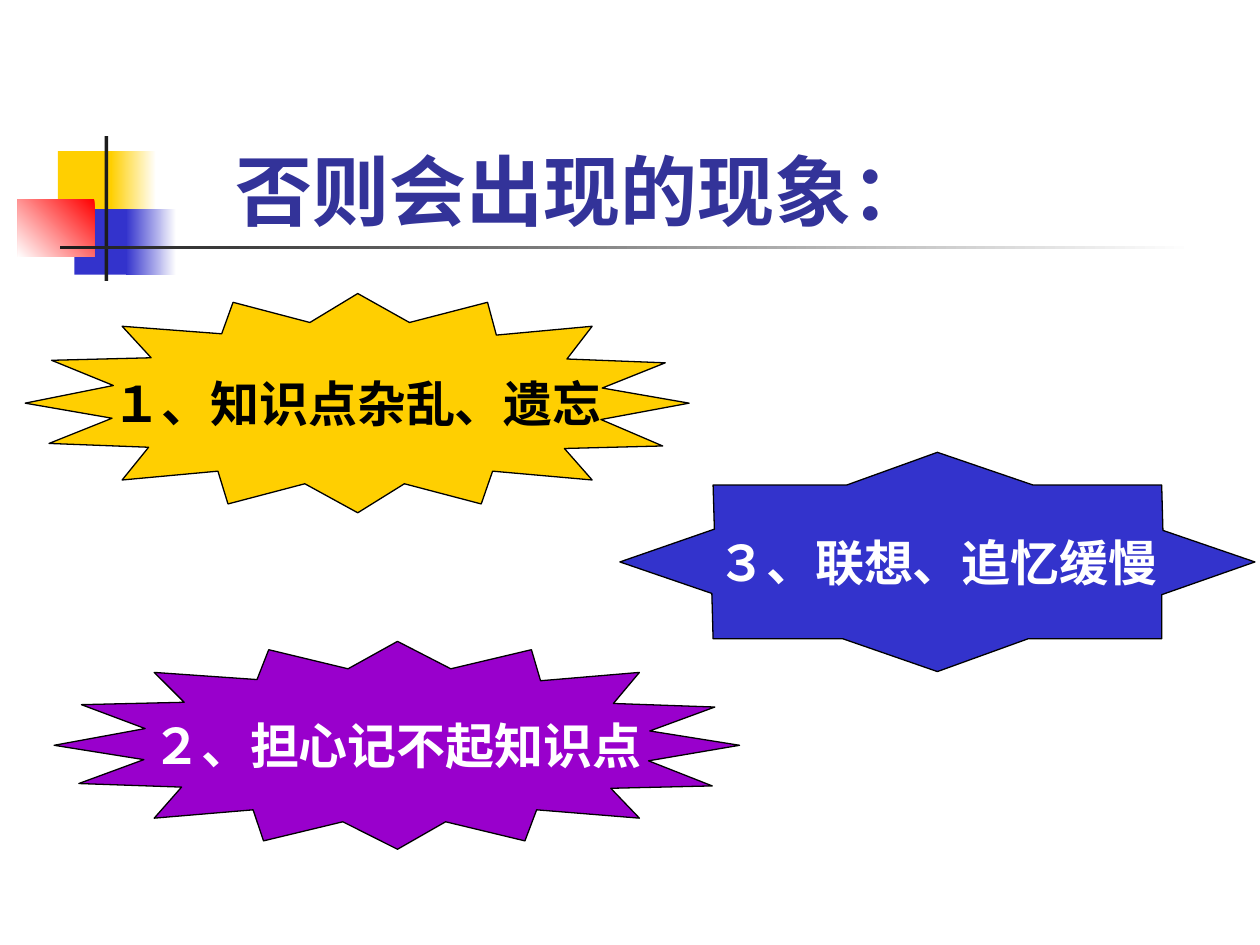
from pptx import Presentation
from pptx.dml.color import RGBColor
from pptx.enum.shapes import MSO_SHAPE
from pptx.enum.text import MSO_ANCHOR, MSO_AUTO_SIZE, PP_ALIGN
from pptx.util import Inches, Pt

COLORS = {
    "gold": "FFCF01", "blue": "3333CC", "red": "FF0000", "purple": "9900CC",
    "title": "333399", "dark": "1C1C1C", "black": "000000", "white": "FFFFFF",
}

BURST = [
    (0, 87), (69, 99), (19, 119), (98, 122), (77, 148), (153, 141), (161, 167), (222, 151),
    (264, 174), (301, 151), (362, 167), (371, 141), (450, 148), (428, 123), (506, 121), (457, 100),
    (527, 87), (458, 75), (508, 55), (430, 52), (450, 26), (374, 33), (367, 7), (305, 23),
    (264, 0), (226, 23), (165, 7), (156, 32), (77, 26), (100, 51), (21, 53), (70, 73),
]
STAR = [
    (0, 87), (73, 112), (74, 148), (177, 148), (252, 174), (324, 148), (430, 148), (430, 113),
    (504, 87), (431, 62), (430, 26), (328, 26), (252, 0), (180, 26), (74, 26), (75, 61),
]

ORNAMENT_PARTS = [
    ((0.32, 0.12, 0.48, 0.52), ("gold",), None),
    ((0.74, 0.12, 0.36, 0.52), ("white", "gold"), 180),
    ((0.45, 0.58, 0.46, 0.52), ("blue",), None),
    ((0.86, 0.58, 0.4, 0.52), ("white", "blue"), 180),
    ((0, 0.5, 0.61, 0.46), ("red", "white"), 225),
    ((0.69, 0, 0.03, 1.15), ("dark",), None),
    ((0.34, 0.87, 9, 0.03), ("white", "dark"), 180),
]

CALLOUTS = [
    ("３、联想、追忆缓慢", STAR, (4.92, 3.59, 5.04, 1.74), "blue", "white", "Cabin"),
    ("１、知识点杂乱、遗忘", BURST, (0.2, 2.33, 5.27, 1.74), "gold", "black", "Cabin"),
    ("２、担心记不起知识点", BURST, (0.43, 5.09, 5.44, 1.65), "purple", "white", "Arial"),
]


def rgb(name):
    return RGBColor.from_string(COLORS[name])


def write_text(shape, text, color, frame_format, paragraph_format, font_format):
    frame = shape.text_frame
    frame.text = text
    paragraph = frame.paragraphs[0]
    for target, values in (
        (frame, frame_format), (paragraph, paragraph_format), (paragraph.runs[0].font, font_format),
    ):
        for name, value in values.items():
            setattr(target, name, value)
    paragraph.runs[0].font.color.rgb = rgb(color)


def add_ornament(slide, left, top):
    for (x, y, width, height), colors, angle in ORNAMENT_PARTS:
        shape = slide.shapes.add_shape(
            MSO_SHAPE.RECTANGLE, Inches(left + x), Inches(top + y), Inches(width), Inches(height))
        shape.shadow.inherit = False
        shape.line.fill.background()
        if angle is None:
            shape.fill.solid()
            shape.fill.fore_color.rgb = rgb(colors[0])
        else:
            shape.fill.gradient()
            shape.fill.gradient_angle = angle
            for position, (stop, color) in enumerate(zip(shape.fill.gradient_stops, colors)):
                stop.position = position
                stop.color.rgb = rgb(color)


def add_title(slide, text, box):
    title = slide.shapes.title
    title.left, title.top, title.width, title.height = map(Inches, box)
    write_text(
        title, text, "title",
        {"vertical_anchor": MSO_ANCHOR.BOTTOM, "word_wrap": True, "auto_size": MSO_AUTO_SIZE.NONE},
        {"alignment": PP_ALIGN.LEFT},
        {"name": "Cabin", "size": Pt(44), "bold": True})


def add_callout(slide, text, outline, box, fill, text_color, font_name):
    left, top, width, height = map(Inches, box)
    columns, rows = (max(values) for values in zip(*outline))
    builder = slide.shapes.build_freeform(*outline[0], scale=(width / columns, height / rows))
    builder.add_line_segments(outline[1:], close=True)
    shape = builder.convert_to_shape(left, top)
    shape.shadow.inherit = False
    shape.fill.solid()
    shape.fill.fore_color.rgb = rgb(fill)
    shape.line.color.rgb = rgb("black")
    shape.line.width = Pt(0.75)
    write_text(
        shape, text, text_color,
        {"vertical_anchor": MSO_ANCHOR.MIDDLE, "word_wrap": False},
        {"alignment": PP_ALIGN.CENTER},
        {"name": font_name, "size": Pt(28), "bold": True})


def main():
    presentation = Presentation()
    presentation.slide_width, presentation.slide_height = Inches(10), Inches(7.5)
    slide = presentation.slides.add_slide(presentation.slide_layouts.get_by_name("Title Only"))
    add_ornament(slide, 0.14, 1.08)
    add_title(slide, "否则会出现的现象：", (1.77, 0.84, 5.79, 1.08))
    for callout in CALLOUTS:
        add_callout(slide, *callout)
    presentation.save("out.pptx")


if __name__ == "__main__":
    main()
